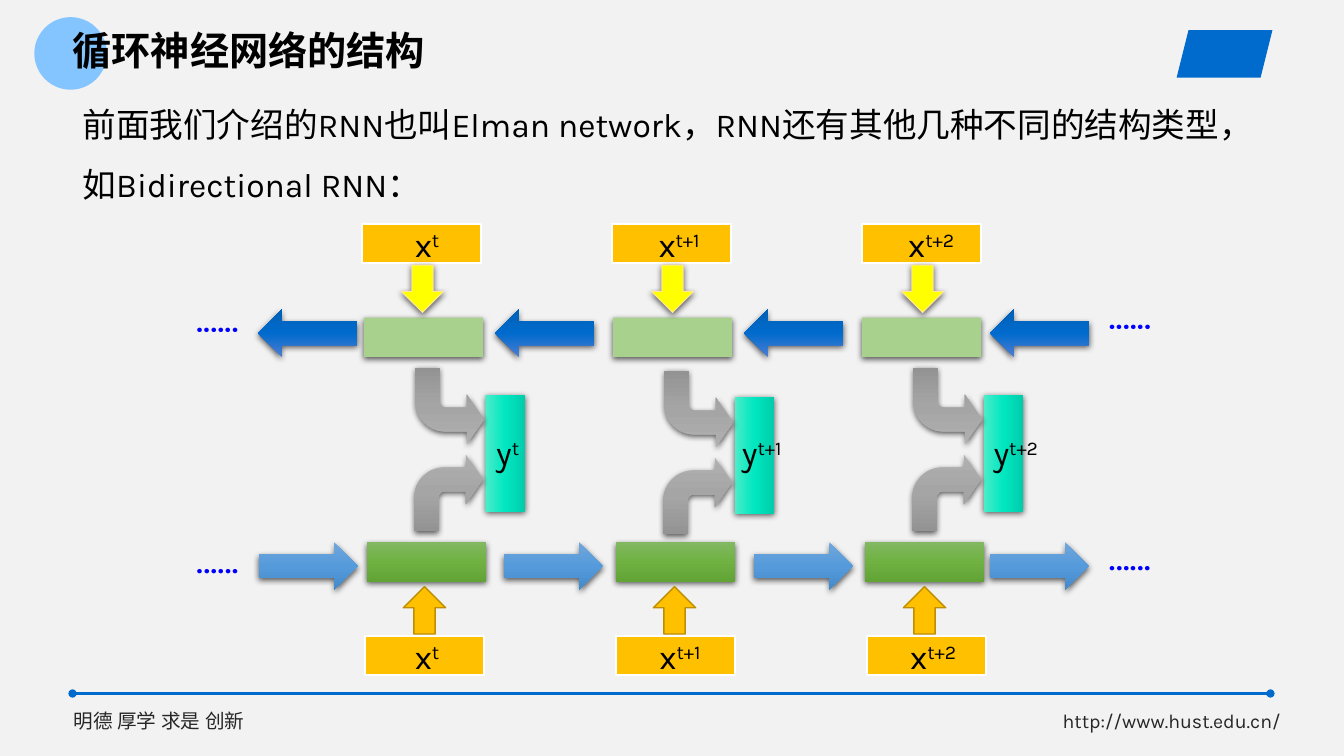
from dataclasses import dataclass

from lxml import etree
from pptx import Presentation
from pptx.dml.color import RGBColor
from pptx.enum.shapes import MSO_CONNECTOR, MSO_SHAPE
from pptx.enum.text import MSO_ANCHOR, PP_ALIGN
from pptx.oxml import parse_xml
from pptx.oxml.ns import nsdecls, qn
from pptx.util import Inches, Pt

RECT, OVAL, SLANTED = MSO_SHAPE.RECTANGLE, MSO_SHAPE.OVAL, MSO_SHAPE.PARALLELOGRAM
UP, RIGHT, BENT = MSO_SHAPE.UP_ARROW, MSO_SHAPE.RIGHT_ARROW, MSO_SHAPE.BENT_ARROW
LEFT_ALIGN, CENTER = PP_ALIGN.LEFT, PP_ALIGN.CENTER
MIDDLE = MSO_ANCHOR.MIDDLE

FONT, TITLE_FONT = "Karla", "Noto Sans CJK SC"
BRAND = "006BCC"
TEAL = ("4BEDC9", "00E7C1", "00CDAB")
GREEN = ("81B861", "6FB242", "62A336")
LIGHT_BLUE = ("71A6DB", "559BDB", "448ACA")
DEEP_BLUE = ("4B7DD3", BRAND, "005FB5")
GRAY = ("AFAFAF", "A5A5A5", "939393")
BENT_ADJUSTMENTS = (0.352, 0.363, 0.25, 0.438)
STEPS = ("t", "t+1", "t+2")


def columns(first: float, pitch: float) -> tuple[float, ...]:
    """Left edges of the three time steps."""
    return tuple(first + pitch * step for step in range(len(STEPS)))


@dataclass
class Row:
    """Equal shapes repeated across the time steps."""
    kind: int
    lefts: tuple[float, ...]
    top: float
    size: tuple[float, float]
    fill: str | tuple[str, ...]
    line: tuple[str, float] | None = None
    shadow: bool = True
    rotation: int = 0
    flip: bool = False
    middle_drop: float = 0


@dataclass
class Labels:
    """A variable with the time step as its superscript."""
    variable: str
    lefts: tuple[float, ...]
    top: float


BLOCK, SHORT_ARROW, LINK, BEND = (1.18, 0.39), (0.42, 0.47), (0.98, 0.47), (0.68, 0.76)
INPUT_LINE = ("FFFFFF", 1.5)
ROWS = [
    # Outputs
    Row(RECT, columns(4.43, 2.47), 4.3, (1.16, 0.39), TEAL, rotation=270, middle_drop=0.02),
    # Forward pass
    Row(RECT, columns(3.62, 2.49), 6.31, BLOCK, "FFC000", INPUT_LINE, shadow=False),
    Row(RECT, columns(3.64, 2.47), 5.38, BLOCK, GREEN),
    Row(UP, columns(4, 2.48), 5.82, SHORT_ARROW, "FFC000", ("BD8E00", 1), shadow=False),
    Row(RIGHT, (2.57, 5, 7.48, 9.82), 5.38, LINK, LIGHT_BLUE),
    # Backward pass
    Row(RECT, columns(3.59, 2.48), 2.22, BLOCK, "FFC000", INPUT_LINE, shadow=False, rotation=180),
    Row(RECT, columns(3.61, 2.47), 3.15, BLOCK, "A9D18E", rotation=180),
    Row(UP, columns(3.98, 2.48), 2.63, SHORT_ARROW, "FFFF00", ("FFE699", 0.75), rotation=180),
    Row(RIGHT, (2.56, 4.91, 7.38, 9.82), 3.07, LINK, DEEP_BLUE, rotation=180),
    # Both passes into the outputs
    Row(BENT, columns(4.11, 2.47), 4.51, BEND, GRAY, middle_drop=0.03),
    Row(BENT, columns(4.12, 2.47), 3.65, BEND, GRAY, flip=True, middle_drop=0.03),
]
LABELS = [
    Labels("y", columns(4.54, 2.52), 4.24),
    Labels("x", columns(3.74, 2.51), 6.26),
    Labels("x", columns(3.74, 2.5), 2.17),
]
ELLIPSES = [(1.67, 5.25, 0), (10.72, 5.22, 0), (1.67, 3.13, 180), (10.72, 3.1, 180)]


def color(value: str) -> RGBColor:
    return RGBColor.from_string(value)


def write(box, text: str, *, size: float, ink: str = "000000", font: str = FONT,
          bold: bool = False, align=LEFT_ALIGN, spacing: float = 1.0,
          superscript: str = "") -> None:
    frame = box.text_frame
    frame.word_wrap = True
    paragraph = frame.paragraphs[0]
    paragraph.alignment = align
    paragraph.line_spacing = spacing
    paragraph.space_before = Pt(0)
    for part, baseline in ((text, 0), (superscript, 30000)):
        if not part:
            continue
        run = paragraph.add_run()
        run.text = part
        run.font.size, run.font.bold, run.font.name = Pt(size), bold, font
        run.font.color.rgb = color(ink)
        properties = run._r.get_or_add_rPr()
        etree.SubElement(properties, qn("a:ea")).set("typeface", font)
        if baseline:
            properties.set("baseline", str(baseline))


def text_box(slide, left: float, top: float, width: float, height: float, text: str, **style):
    box = slide.shapes.add_textbox(Inches(left), Inches(top), Inches(width), Inches(height))
    write(box, text, **style)
    return box


def add_gradient(shape, stops: tuple[str, ...]) -> None:
    steps = "".join(
        f'<a:gs pos="{index * 50000}"><a:srgbClr val="{stop}"/></a:gs>'
        for index, stop in enumerate(stops))
    shape._element.spPr.find(qn("a:prstGeom")).addnext(parse_xml(
        f'<a:gradFill rotWithShape="1" {nsdecls("a")}><a:gsLst>{steps}</a:gsLst>'
        '<a:lin ang="5400000" scaled="0"/></a:gradFill>'))


def add_shadow(shape) -> None:
    shape._element.spPr.find(qn("a:effectLst")).append(parse_xml(
        f'<a:outerShdw {nsdecls("a")} blurRad="{Pt(4.5)}" dist="{Pt(1.5)}" dir="5400000" '
        'algn="ctr" rotWithShape="0"><a:srgbClr val="000000"><a:alpha val="63000"/>'
        '</a:srgbClr></a:outerShdw>'))


def add_block(slide, kind, left: float, top: float, width: float, height: float,
              fill: str | tuple[str, ...], line: tuple[str, float] | None = None):
    shape = slide.shapes.add_shape(
        kind, Inches(left), Inches(top), Inches(width), Inches(height))
    shape.shadow.inherit = False
    if line:
        shape.line.color.rgb, shape.line.width = color(line[0]), Pt(line[1])
    else:
        shape.line.fill.background()
    if isinstance(fill, str):
        shape.fill.solid()
        shape.fill.fore_color.rgb = color(fill)
    else:
        add_gradient(shape, fill)
    return shape


def draw_row(slide, row: Row) -> None:
    for index, left in enumerate(row.lefts):
        top = row.top + (row.middle_drop if index == 1 else 0)
        shape = add_block(slide, row.kind, left, top, *row.size, row.fill, row.line)
        shape.rotation = row.rotation
        if row.kind == BENT:
            for position, value in enumerate(BENT_ADJUSTMENTS):
                shape.adjustments[position] = value
        if row.flip:
            shape._element.spPr.find(qn("a:xfrm")).set("flipV", "1")
        if row.shadow:
            add_shadow(shape)


def draw_frame(slide) -> None:
    for left, text in ((0.63, "明德 厚学 求是 创新"), (10.44, "http://www.hust.edu.cn/")):
        text_box(slide, left, 6.98, 2.56, 0.34, text, size=14, ink="262626")
    add_block(slide, OVAL, 0.34, 0.17, 0.72, 0.72, "85C5FF")
    add_block(slide, SLANTED, 11.67, 0.3, 0.95, 0.47, BRAND)
    rule = slide.shapes.add_connector(
        MSO_CONNECTOR.STRAIGHT, Inches(0.72), Inches(6.88), Inches(12.6), Inches(6.88))
    rule.line.color.rgb, rule.line.width = color(BRAND), Pt(1.75)
    for end in ("a:headEnd", "a:tailEnd"):
        etree.SubElement(rule.line._get_or_add_ln(), qn(end)).set("type", "oval")
    etree.SubElement(rule._element.spPr, qn("a:effectLst"))


def main() -> None:
    deck = Presentation()
    deck.slide_width, deck.slide_height = Inches(13.33), Inches(7.5)
    slide = deck.slides.add_slide(deck.slide_layouts[5])
    slide.background.fill.solid()
    slide.background.fill.fore_color.rgb = color("F2F2F2")
    draw_frame(slide)

    # Title, raised above the circle behind it
    title = slide.shapes.title
    title.left, title.top, title.width, title.height = map(Inches, (0.62, 0.29, 9.35, 0.47))
    title.text_frame.vertical_anchor = MIDDLE
    write(title, "循环神经网络的结构", size=28, font=TITLE_FONT, bold=True, spacing=0.9)
    slide.shapes._spTree.append(title._element)

    text_box(slide, 0.72, 0.78, 11.88, 1.24,
             "前面我们介绍的RNN也叫Elman network，RNN还有其他几种不同的结构类型，如Bidirectional RNN：",
             size=24, spacing=1.5)

    # Bidirectional network
    for row in ROWS:
        draw_row(slide, row)
    for left, top, rotation in ELLIPSES:
        dots = text_box(slide, left, top, 0.97, 0.57, "……", size=28, ink="0000FF", align=CENTER)
        dots.rotation = rotation
    for labels in LABELS:
        for left, step in zip(labels.lefts, STEPS):
            text_box(slide, left, labels.top, 0.99, 0.5, labels.variable,
                     size=24, align=CENTER, superscript=step)
    deck.save("out.pptx")


if __name__ == "__main__":
    main()
